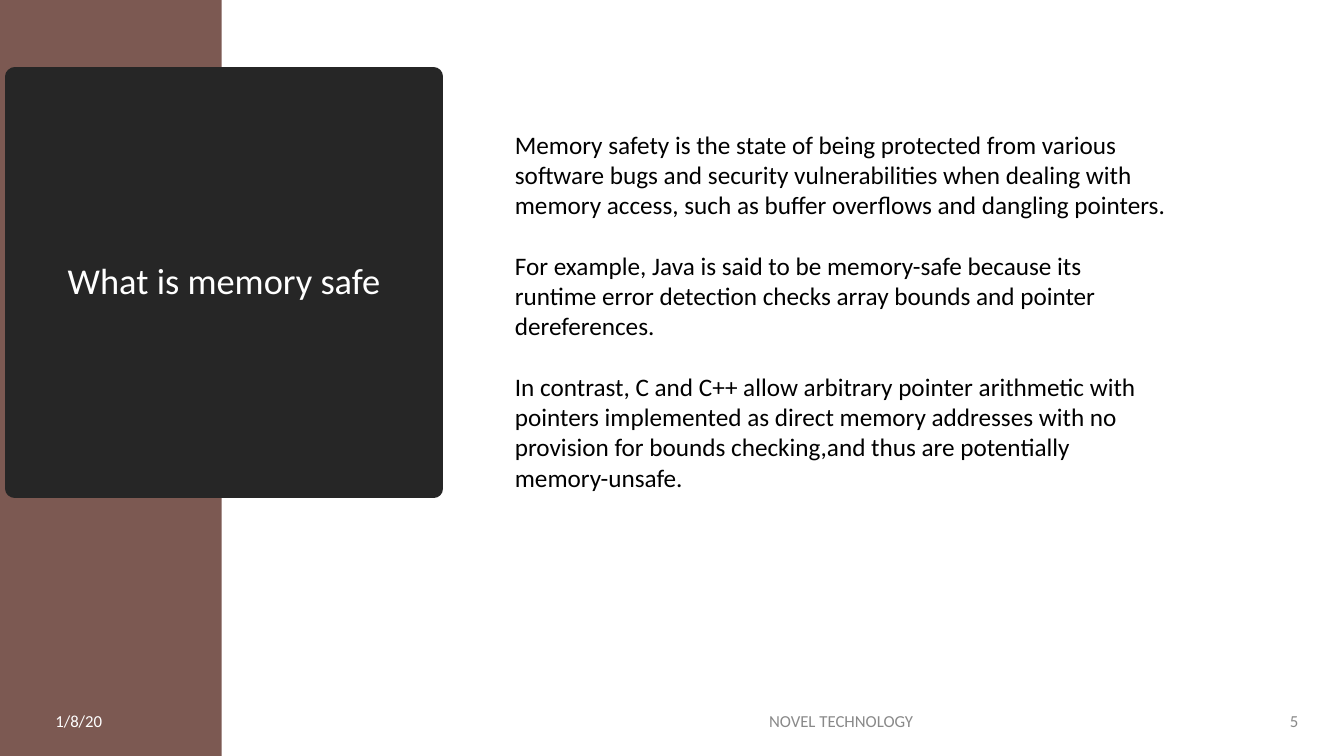
from pptx import Presentation
from pptx.dml.color import RGBColor
from pptx.enum.shapes import MSO_SHAPE
from pptx.enum.text import MSO_ANCHOR, MSO_AUTO_SIZE, PP_ALIGN
from pptx.util import Pt

RECT = MSO_SHAPE.RECTANGLE
TOP, MIDDLE = MSO_ANCHOR.TOP, MSO_ANCHOR.MIDDLE
LEFT, CENTER, RIGHT = PP_ALIGN.LEFT, PP_ALIGN.CENTER, PP_ALIGN.RIGHT
FIXED = MSO_AUTO_SIZE.NONE

BROWN = RGBColor(0x7C, 0x59, 0x52)
DARK = RGBColor(0x26, 0x26, 0x26)
WHITE = RGBColor(0xFF, 0xFF, 0xFF)
BLACK = RGBColor(0, 0, 0)
GRAY = RGBColor(0x89, 0x89, 0x89)

BODY = [
    "Memory safety is the state of being protected from various software bugs "
    "and security vulnerabilities when dealing with memory access, such as "
    "buffer overflows and dangling pointers.",
    "For example, Java is said to be memory-safe because its runtime error "
    "detection checks array bounds and pointer dereferences.",
    "In contrast, C and C++ allow arbitrary pointer arithmetic with pointers "
    "implemented as direct memory addresses with no provision for bounds "
    "checking,and thus are potentially memory-unsafe.",
]


class Page:
    font = "Calibri"

    def __init__(self, deck):
        self.slide = deck.slides.add_slide(deck.slide_layouts[5])
        self.shapes = self.slide.shapes

    def fill_text(self, shape, texts, size, color, align, anchor, gap=0):
        """Fill a shape with paragraphs set gap points apart."""
        frame = shape.text_frame
        frame.word_wrap = True
        frame.auto_size = FIXED
        frame.vertical_anchor = anchor
        for i, text in enumerate(texts):
            para = frame.add_paragraph() if i else frame.paragraphs[0]
            para.text = text
            para.alignment = align
            para.space_before = Pt(gap if i else 0)
            para.font.name = self.font
            para.font.size = Pt(size)
            para.font.color.rgb = color

    def bar(self, x, y, w, h, color):
        shape = self.shapes.add_shape(RECT, Pt(x), Pt(y), Pt(w), Pt(h))
        shape.shadow.inherit = False
        shape.fill.solid()
        shape.fill.fore_color.rgb = color
        shape.line.fill.background()

    def title(self, x, y, w, h, text):
        """Place the title as a dark panel with a thick edge, in front."""
        panel = self.shapes.title
        panel.left, panel.top, panel.width, panel.height = Pt(x), Pt(y), Pt(w), Pt(h)
        panel.fill.solid()
        panel.fill.fore_color.rgb = DARK
        panel.line.color.rgb = DARK
        panel.line.width = Pt(13.75)
        self.fill_text(panel, [text], 26, WHITE, CENTER, MIDDLE)
        panel.text_frame.paragraphs[0].line_spacing = 0.9
        panel.element.getparent().append(panel.element)

    def text(self, x, y, w, h, texts, size, color, align=LEFT, anchor=TOP, gap=0):
        box = self.shapes.add_textbox(Pt(x), Pt(y), Pt(w), Pt(h))
        self.fill_text(box, texts, size, color, align, anchor, gap)


def main():
    deck = Presentation()
    deck.slide_width, deck.slide_height = Pt(960), Pt(540)
    page = Page(deck)
    page.bar(0, 0, 158.4, 540, BROWN)
    page.title(10.8, 54.7, 298.8, 294.5, "What is memory safe")
    for x, w, text, color, align in [
        (32.4, 116.6, "1/8/20", WHITE, LEFT),
        (324, 553.7, "NOVEL TECHNOLOGY", GRAY, CENTER),
        (890.6, 43.9, "5", GRAY, RIGHT),
    ]:
        page.text(x, 500.4, w, 28.8, [text], 12, color, align, MIDDLE)
    page.text(360.7, 88.6, 480.2, 290.9, BODY, 18, BLACK, gap=21.7)
    deck.save("out.pptx")


if __name__ == "__main__":
    main()
